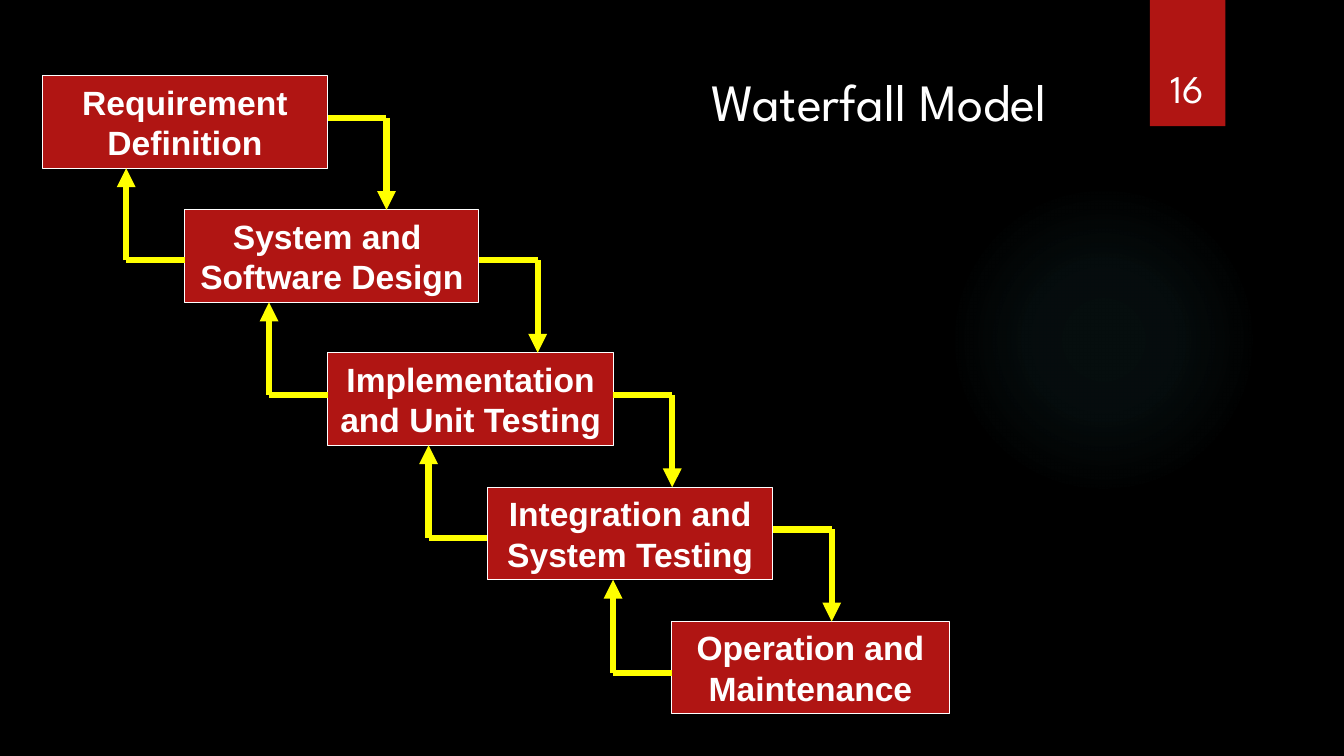
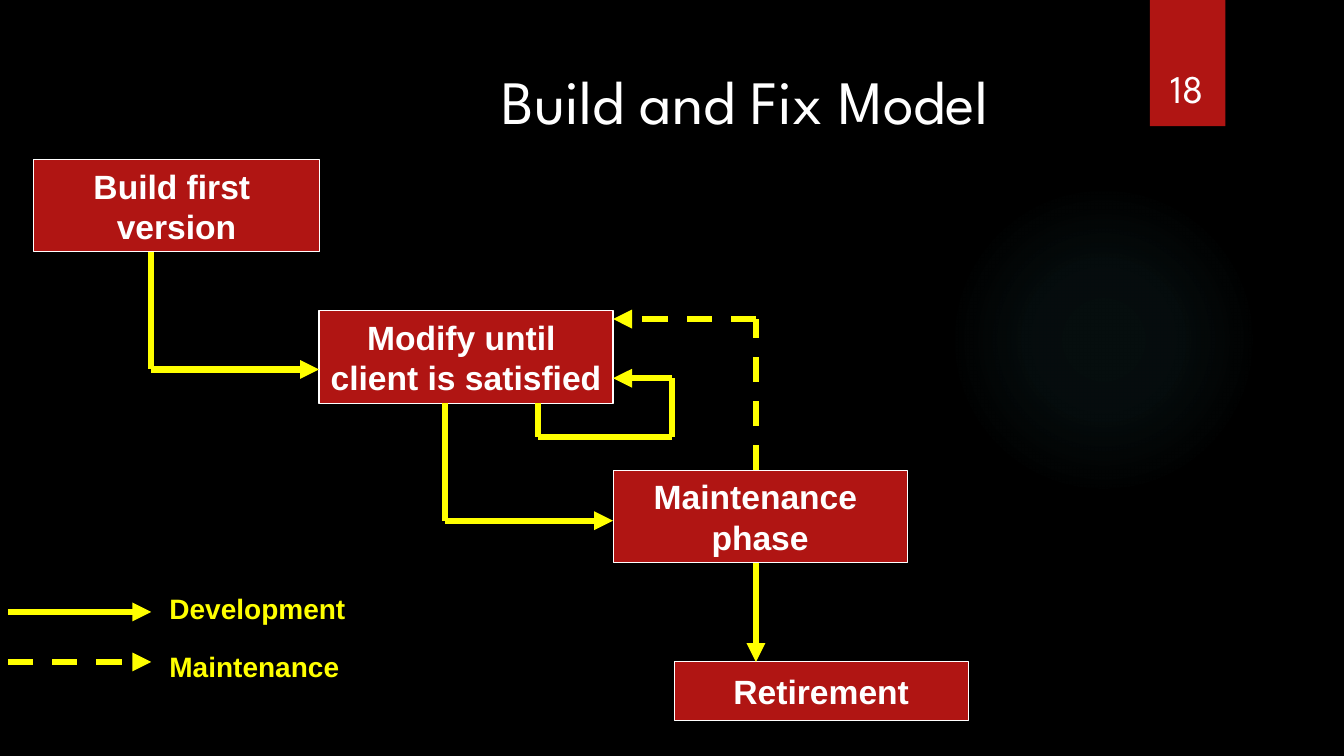
"""Build two slides on software process models."""
from itertools import pairwise

from pptx import Presentation
from pptx.dml.color import RGBColor
from pptx.enum.dml import MSO_LINE as Dash
from pptx.enum.shapes import MSO_CONNECTOR as Link, MSO_SHAPE as Kind
from pptx.enum.text import MSO_ANCHOR as Anchor, PP_ALIGN as Align
from pptx.oxml import parse_xml
from pptx.oxml.ns import nsdecls, qn
from pptx.util import Cm, Pt

HUES = {"back": "000000", "red": "B01513", "white": "FFFFFF",
        "yellow": "FFFF00", "glow": "50B9C1"}
HEAD, BODY = "League Spartan", "Arial"
TALL, STUB = 2.33, 1.48

FALL = {"title": "Waterfall Model", "area": (17.68, 1.57, 11.63, 2.24),
        "size": 37.4, "space": 0.8, "page": "16"}
STEPS = [
    (["Requirement", "Definition"], 1.06, 1.91, 7.2),
    (["System and ", "Software Design"], 4.66, 5.29, 7.41),
    (["Implementation", "and Unit Testing"], 8.26, 8.89, 7.2),
    (["Integration and", "System Testing"], 12.28, 12.28, 7.2),
    (["Operation and", "Maintenance"], 16.93, 15.66, 6.99),
]
OUTS = [1.06, 1.27, 1.06, 1.06]
BACKS = [1.27, 1.06, 1.27, 1.3]

FIX = {"title": "Build and Fix Model", "area": (12.4, 0.2, 15.77, 4.88),
       "size": 44, "space": 0.9, "page": "18"}
PHASES = [
    (["Build first ", "version"], 0.85, 4.02, 7.2, TALL),
    (["Modify until ", "client is satisfied"], 8.04, 7.83, 7.41, TALL),
    (["Maintenance ", "phase"], 15.45, 11.85, 7.41, TALL),
    (["Retirement"], 16.99, 16.68, 7.41, STUB),
]
ROUTES = [
    ([(3.81, 6.35), (3.81, 9.31), (8.04, 9.31)], False),
    ([(11.22, 10.16), (11.22, 13.12), (15.45, 13.12)], False),
    ([(19.05, 14.18), (19.05, 16.68)], False),
    ([(19.05, 11.85), (19.05, 8.04), (15.45, 8.04)], True),
    ([(13.55, 10.16), (13.55, 11.01), (16.93, 11.01),
      (16.93, 9.53), (15.45, 9.53)], False),
]
KEYS = [("Development", 15.42, 14.79, False),
        ("Maintenance", 16.68, 16.25, True)]

GLOW = [(0, 7), (36, 6), (69, 0), (100, 0)]


def tint(name):
    return RGBColor.from_string(HUES[name])


def write(shape, lines, size=24, font=BODY, hue="white", bold=False,
          align=Align.LEFT, anchor=Anchor.MIDDLE, wrap=True, space=None):
    frame = shape.text_frame
    frame.word_wrap = wrap
    frame.vertical_anchor = anchor
    for i, line in enumerate(lines):
        para = frame.add_paragraph() if i else frame.paragraphs[0]
        para.alignment = align
        para.line_spacing = space
        run = para.add_run()
        run.text = line
        run.font.size, run.font.name, run.font.bold = Pt(size), font, bold
        run.font.color.rgb = tint(hue)


def label(slide, area, lines, **style):
    write(slide.shapes.add_textbox(*map(Cm, area)), lines, **style)


def block(slide, kind, area, edge=None):
    shape = slide.shapes.add_shape(kind, *map(Cm, area))
    shape.shadow.inherit = False
    shape.fill.solid()
    shape.fill.fore_color.rgb = tint("red")
    if edge:
        shape.line.color.rgb = tint(edge)
        shape.line.width = Pt(0.75)
    else:
        shape.line.fill.background()
    return shape


def box(slide, lines, left, top, width, height=TALL):
    shape = block(slide, Kind.RECTANGLE, (left, top, width, height), "white")
    write(shape, lines, bold=True, align=Align.CENTER, wrap=False)


def route(slide, points, dash=False):
    for start, end in pairwise(points):
        wire = slide.shapes.add_connector(
            Link.STRAIGHT, *map(Cm, start + end))
        wire.line.color.rgb = tint("yellow")
        wire.line.width = Pt(4.5)
        if dash:
            wire.line.dash_style = Dash.DASH
        props = wire.element.spPr
        if end == points[-1]:
            props.find(qn("a:ln")).append(parse_xml(
                f'<a:tailEnd {nsdecls("a")} type="triangle"/>'))
        props.append(parse_xml(f'<a:effectLst {nsdecls("a")}/>'))


def glow(slide):
    props = block(slide, Kind.OVAL, (23.9, 4.65, 7.82, 7.82)).element.spPr
    stops = "".join(
        f'<a:gs pos="{pos * 1000}"><a:srgbClr val="{HUES["glow"]}">'
        f'<a:alpha val="{alpha * 1000}"/></a:srgbClr></a:gs>'
        for pos, alpha in GLOW)
    fill = parse_xml(
        f'<a:gradFill {nsdecls("a")}><a:gsLst>{stops}</a:gsLst>'
        '<a:path path="circle"><a:fillToRect l="50000" t="50000" '
        'r="50000" b="50000"/></a:path></a:gradFill>')
    props.replace(props.find(qn("a:solidFill")), fill)


def start(deck, info):
    slide = deck.slides.add_slide(deck.slide_layouts[6])
    glow(slide)
    block(slide, Kind.RECTANGLE, (28.98, 0, 1.9, 3.18))
    label(slide, info["area"], [info["title"]], size=info["size"],
          font=HEAD, space=info["space"])
    label(slide, (28.75, 0.81, 2.34, 2.13), [info["page"]], size=28,
          font=HEAD, align=Align.CENTER, anchor=Anchor.BOTTOM)
    return slide


def waterfall(deck):
    slide = start(deck, FALL)
    for step in STEPS:
        box(slide, *step)
    for (prev, step), out, back in zip(pairwise(STEPS), OUTS, BACKS):
        _, left, top, width = prev
        _, near, low, _ = step
        right, bend = left + width, left + width + STUB
        route(slide, [(right, top + out), (bend, top + out), (bend, low)])
        bend = near - STUB
        route(slide, [(near, low + back), (bend, low + back),
                      (bend, top + TALL)])


def build_fix(deck):
    slide = start(deck, FIX)
    for phase in PHASES:
        box(slide, *phase)
    for points, dash in ROUTES:
        route(slide, points, dash)
    for name, line, top, dash in KEYS:
        route(slide, [(0.2, line), (3.81, line)], dash)
        label(slide, (4.02, top, 6.35, 1.08), [name], size=20,
              hue="yellow", bold=True, anchor=Anchor.TOP)


def main():
    deck = Presentation()
    deck.slide_width, deck.slide_height = Cm(33.87), Cm(19.05)
    back = deck.slide_master.background.fill
    back.solid()
    back.fore_color.rgb = tint("back")
    waterfall(deck)
    build_fix(deck)
    deck.save("out.pptx")


if __name__ == "__main__":
    main()
